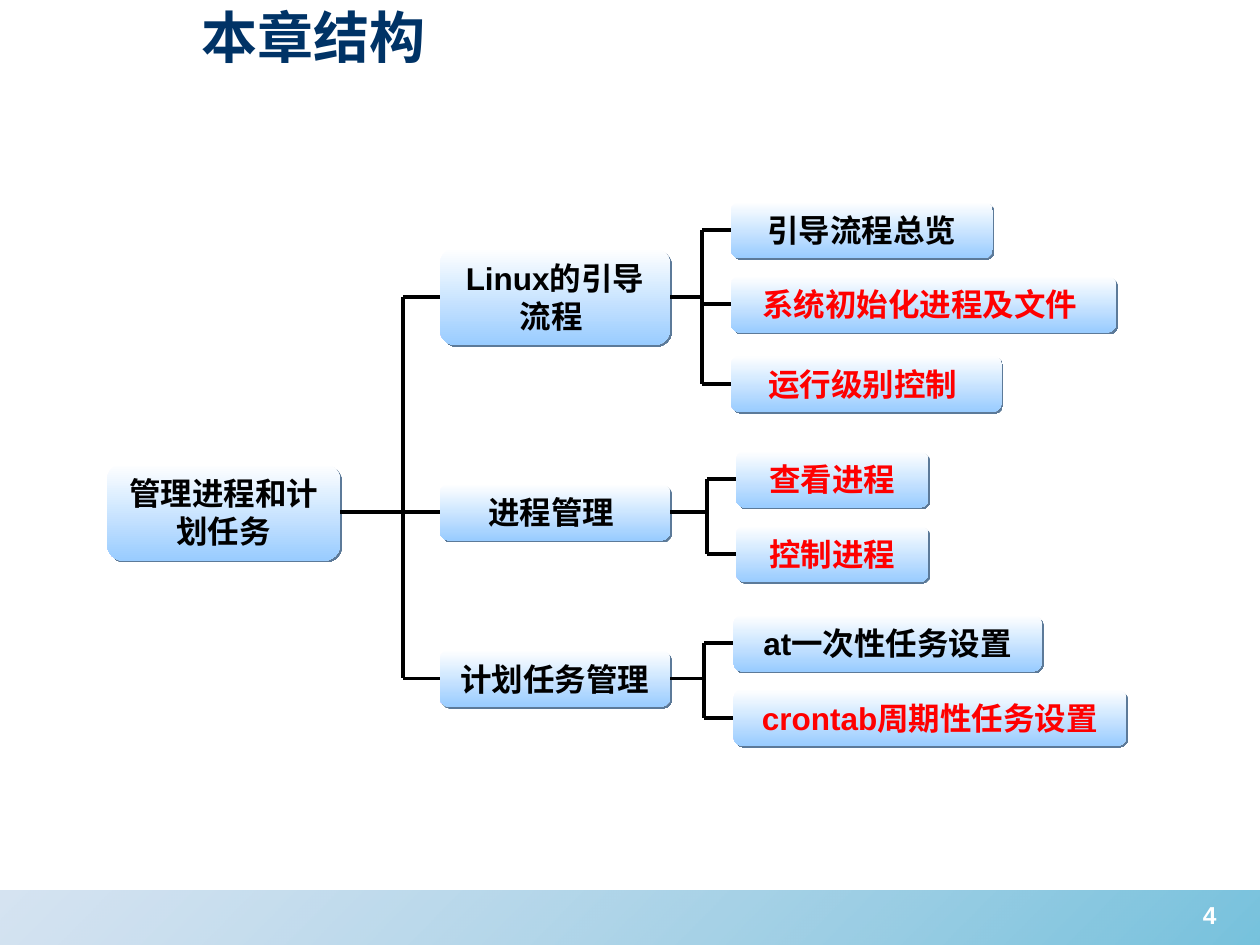
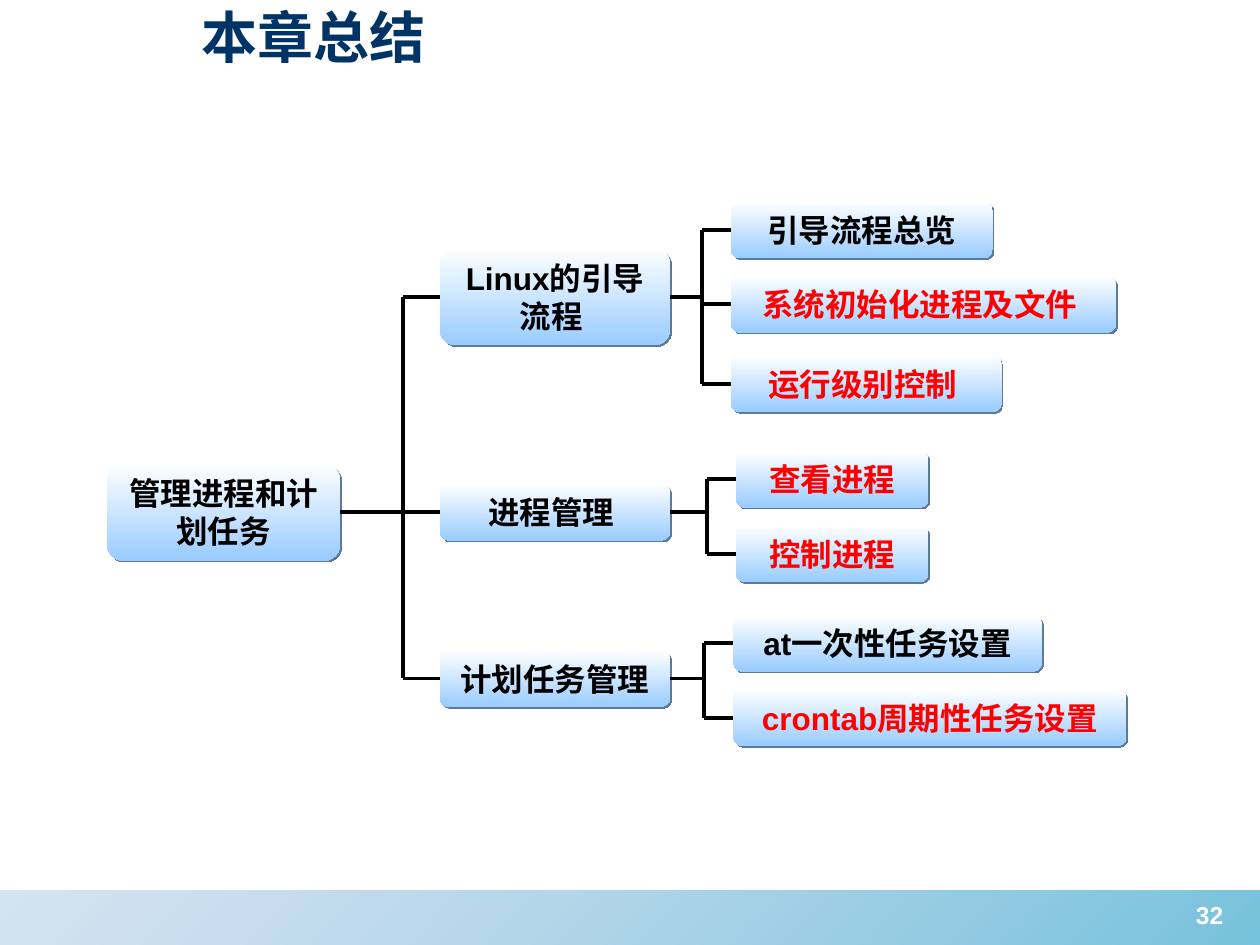
import pptx
import pptx.util
import pptx.dml.color
import pptx.enum.shapes
import pptx.enum.text
import pptx.oxml
import pptx.oxml.ns
from lxml import etree

Inches = pptx.util.Inches
Pt = pptx.util.Pt
SHAPE = pptx.enum.shapes.MSO_SHAPE
ANCHOR = pptx.enum.text.MSO_ANCHOR
ALIGN = pptx.enum.text.PP_ALIGN
qn = pptx.oxml.ns.qn

FONT = "Arial"
WHITE, BLACK, RED, NAVY = "FFFFFF", "000000", "FF0000", "003366"
NODE_FILL, NODE_SHADOW = "99CCFF", "5C7A99"
BAND_STOPS = (("88B0D8", 35), ("1C99C6", 60))
NODE_H = 0.45
TALL_H = 0.77
STEM = 0.23

ROOT = "管理进程和计划任务"
TOPICS = [
    {"text": "Linux的引导流程 ", "top": 0.37, "height": TALL_H, "leaf_left": 4.95,
     "leaves": [("引导流程总览", 0, 2.08, BLACK),
                ("系统初始化进程及文件 ", 0.59, 3.06, RED),
                ("运行级别控制 ", 1.22, 2.15, RED)]},
    {"text": "进程管理 ", "top": 2.24, "height": NODE_H, "leaf_left": 4.99,
     "leaves": [("查看进程", 1.98, 1.53, RED),
                ("控制进程", 2.57, 1.53, RED)]},
    {"text": "计划任务管理", "top": 3.56, "height": NODE_H, "leaf_left": 4.97,
     "leaves": [("at一次性任务设置", 3.28, 2.45, BLACK),
                ("crontab周期性任务设置", 3.87, 3.12, RED)]},
]


def rgb(value):
    return pptx.dml.color.RGBColor.from_string(value)


def write(sp, text, size=18, color=BLACK, align=ALIGN.CENTER, anchor=ANCHOR.MIDDLE):
    tf = sp.text_frame
    tf.word_wrap = True
    tf.auto_size = pptx.enum.text.MSO_AUTO_SIZE.NONE
    tf.vertical_anchor = anchor
    p = tf.paragraphs[0]
    p.alignment = align
    r = p.add_run()
    r.text = text
    r.font.name = FONT
    r.font.size = Pt(size)
    r.font.bold = True
    r.font.color.rgb = rgb(color)


def add_gradient_shape(slide, kind, box, stops, angle):
    sp = slide.shapes.add_shape(kind, *map(Inches, box))
    sp.shadow.inherit = False
    sp.line.fill.background()
    sp.fill.gradient()
    sp.fill.gradient_angle = 360 - angle
    for stop, (color, opacity) in zip(sp.fill.gradient_stops, stops):
        stop.color.rgb = rgb(color)
        if opacity < 100:
            clr = next(sp._element.spPr.iter(qn("a:gradFill"))).findall(".//" + qn("a:srgbClr"))[-1]
            for clr in sp._element.spPr.iter(qn("a:srgbClr")):
                if clr.get("val") == color:
                    etree.SubElement(clr, qn("a:alpha"), val=str(opacity * 1000))
    return sp


def add_node(slide, text, box, color=BLACK):
    sp = add_gradient_shape(slide, SHAPE.ROUNDED_RECTANGLE, box,
                            ((WHITE, 100), (NODE_FILL, 100)), 90)
    effects = sp._element.spPr.find(qn("a:effectLst"))
    shadow = etree.SubElement(effects, qn("a:outerShdw"), blurRad="0",
                              dist=str(Pt(1.4)), dir="2700000", algn="ctr", rotWithShape="0")
    etree.SubElement(shadow, qn("a:srgbClr"), val=NODE_SHADOW)
    write(sp, text, color=color)
    return sp


def add_line(slide, x1, y1, x2, y2):
    cxn = slide.shapes.add_connector(pptx.enum.shapes.MSO_CONNECTOR.STRAIGHT, x1, y1, x2, y2)
    cxn.line.color.rgb = rgb(BLACK)
    cxn.line.width = Pt(2.25)
    etree.SubElement(cxn._element.spPr, qn("a:effectLst"))
    return cxn


def middle(sp):
    return sp.top + sp.height // 2


def add_bracket(slide, parent, children, x):
    y = middle(parent)
    add_line(slide, parent.left + parent.width, y, x, y).begin_connect(parent, 3)
    add_line(slide, x, middle(children[0]), x, middle(children[-1]))
    for child in children:
        y = middle(child)
        add_line(slide, x, y, child.left, y).end_connect(child, 1)


def add_chapter_map(slide, left, top):
    root = add_node(slide, ROOT, (left, top + 2.08, 1.85, TALL_H))
    topic_nodes = []
    for topic in TOPICS:
        node = add_node(slide, topic["text"],
                        (left + 2.64, top + topic["top"], 1.83, topic["height"]))
        leaf_left = left + topic["leaf_left"]
        leaves = [add_node(slide, text, (leaf_left, top + y, width, NODE_H), color)
                  for text, y, width, color in topic["leaves"]]
        add_bracket(slide, node, leaves, Inches(leaf_left - STEM))
        topic_nodes.append(node)
    add_bracket(slide, root, topic_nodes, Inches(left + 2.35))


def add_footer(slide, number, top):
    add_gradient_shape(slide, SHAPE.RECTANGLE, (0, top, 10, 0.43), BAND_STOPS, 45)
    sp = slide.shapes.add_textbox(*map(Inches, (9.24, top + 0.02, 0.72, 0.52)))
    write(sp, number, size=14, color=WHITE, anchor=ANCHOR.TOP)


def add_title(slide, text, box):
    sp = slide.shapes.title
    sp.left, sp.top, sp.width, sp.height = map(Inches, box)
    write(sp, text, size=32, color=NAVY, align=ALIGN.LEFT)


def add_chapter_slide(prs, title, number):
    slide = prs.slides.add_slide(prs.slide_layouts[5])
    add_footer(slide, number, 7.07)
    add_title(slide, title, (1.5, -0.03, 8.07, 0.63))
    add_chapter_map(slide, 0.85, 1.6)


def main():
    prs = pptx.Presentation()
    prs.slide_width, prs.slide_height = Inches(10), Inches(7.5)
    for title, number in (("本章结构", "4"), ("本章总结", "32")):
        add_chapter_slide(prs, title, number)
    prs.save("out.pptx")


if __name__ == "__main__":
    main()
